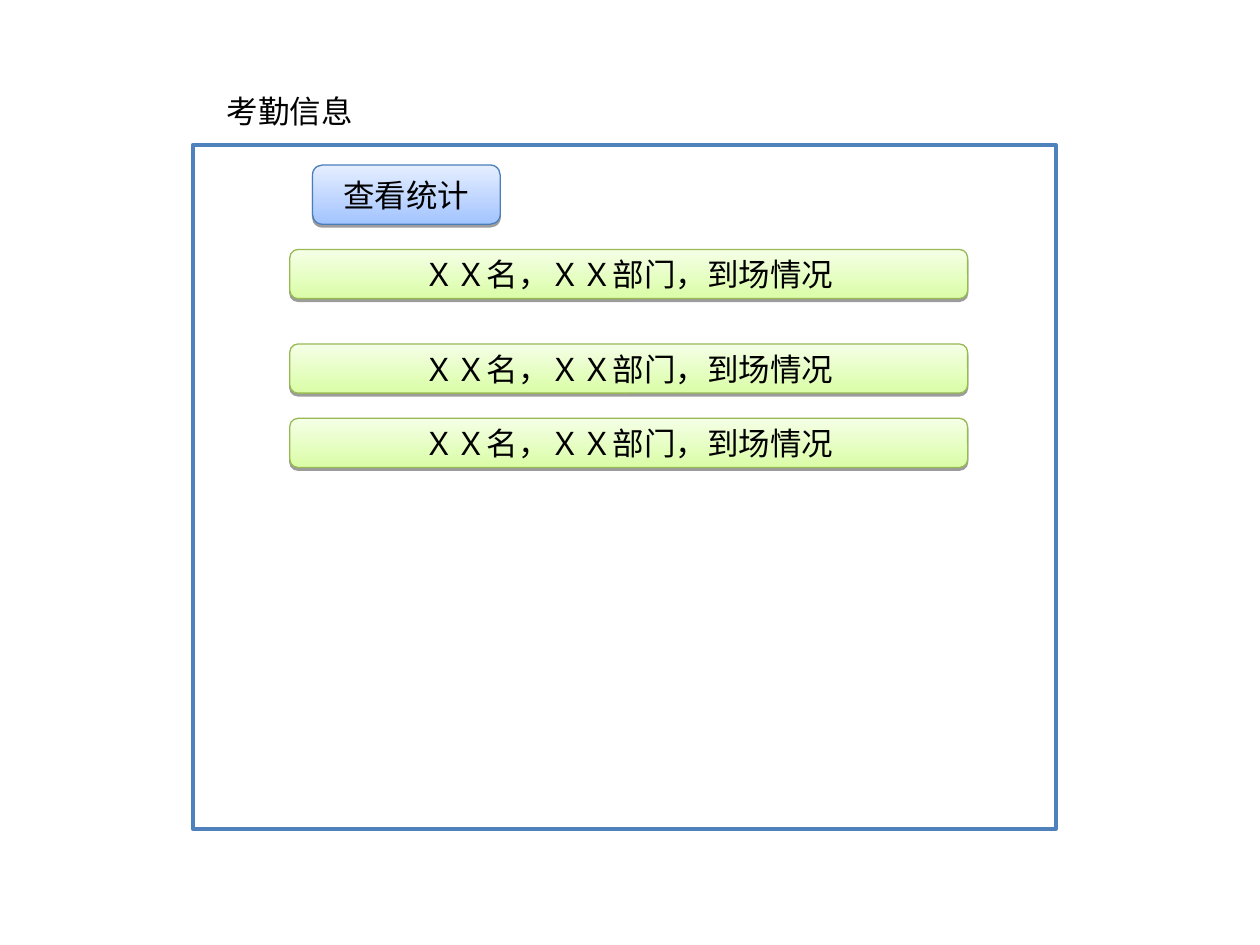
import pptx
import pptx.dml.color
import pptx.enum.shapes
import pptx.enum.text
import pptx.oxml
import pptx.oxml.ns
import pptx.util
from pptx.util import Inches

SHAPE = pptx.enum.shapes.MSO_SHAPE


def color(hex_code):
    return pptx.dml.color.RGBColor.from_string(hex_code)


class AttendanceSlide:
    font_name = "Calibri"
    font_size = pptx.util.Pt(18)
    text_color = "000000"

    def __init__(self, slide):
        self.slide = slide

    def set_text(self, shape, text, wrap):
        frame = shape.text_frame
        frame.text = text
        frame.word_wrap = wrap
        font = frame.paragraphs[0].runs[0].font
        font.name = self.font_name
        font.size = self.font_size
        font.color.rgb = color(self.text_color)
        return frame

    def shape(self, kind, left, top, width, height, line, line_width):
        shape = self.slide.shapes.add_shape(
            kind, Inches(left), Inches(top), Inches(width), Inches(height))
        shape.shadow.inherit = False
        shape.line.color.rgb = color(line)
        shape.line.width = pptx.util.Pt(line_width)
        return shape

    def panel(self, left, top, width, height, fill, line):
        panel = self.shape(SHAPE.RECTANGLE, left, top, width, height, line, 2)
        panel.fill.solid()
        panel.fill.fore_color.rgb = color(fill)

    def label(self, left, top, width, height, text):
        box = self.slide.shapes.add_textbox(
            Inches(left), Inches(top), Inches(width), Inches(height))
        frame = self.set_text(box, text, wrap=False)
        frame.auto_size = pptx.enum.text.MSO_AUTO_SIZE.SHAPE_TO_FIT_TEXT

    def button(self, left, top, width, height, text, bottom, upper, line):
        button = self.shape(SHAPE.ROUNDED_RECTANGLE, left, top, width, height, line, 0.75)
        button.fill.gradient()
        button.fill.gradient_angle = 90
        for stop, shade in zip(button.fill.gradient_stops, (bottom, upper)):
            stop.color.rgb = color(shade)
        self.drop_shadow(button)
        frame = self.set_text(button, text, wrap=True)
        frame.vertical_anchor = pptx.enum.text.MSO_ANCHOR.MIDDLE
        frame.paragraphs[0].alignment = pptx.enum.text.PP_ALIGN.CENTER

    def drop_shadow(self, shape):
        effects = shape._element.spPr.find(pptx.oxml.ns.qn("a:effectLst"))
        effects.append(pptx.oxml.parse_xml(
            f'<a:outerShdw {pptx.oxml.ns.nsdecls("a")} blurRad="0" dist="20320" '
            'dir="5400000" rotWithShape="0"><a:srgbClr val="000000">'
            '<a:alpha val="38000"/></a:srgbClr></a:outerShdw>'))


def main():
    deck = pptx.Presentation()
    deck.slide_width, deck.slide_height = Inches(10), Inches(7.5)
    page = AttendanceSlide(deck.slides.add_slide(deck.slide_layouts[6]))

    # Frame and its heading
    page.panel(1.53, 1.15, 6.85, 5.43, "FFFFFF", "4F81BD")
    page.label(1.7, 0.68, 1.2, 0.4, "考勤信息")

    # Attendance records
    for record_top in (1.98, 2.73, 3.32):
        page.button(2.3, record_top, 5.38, 0.39, "ＸＸ名，ＸＸ部门，到场情况",
                    "DAFDA7", "F5FFE6", "98B954")

    # Statistics button
    page.button(2.48, 1.31, 1.49, 0.47, "查看统计", "A3C4FF", "E5EEFF", "4A7EBB")

    deck.save("out.pptx")


if __name__ == "__main__":
    main()
